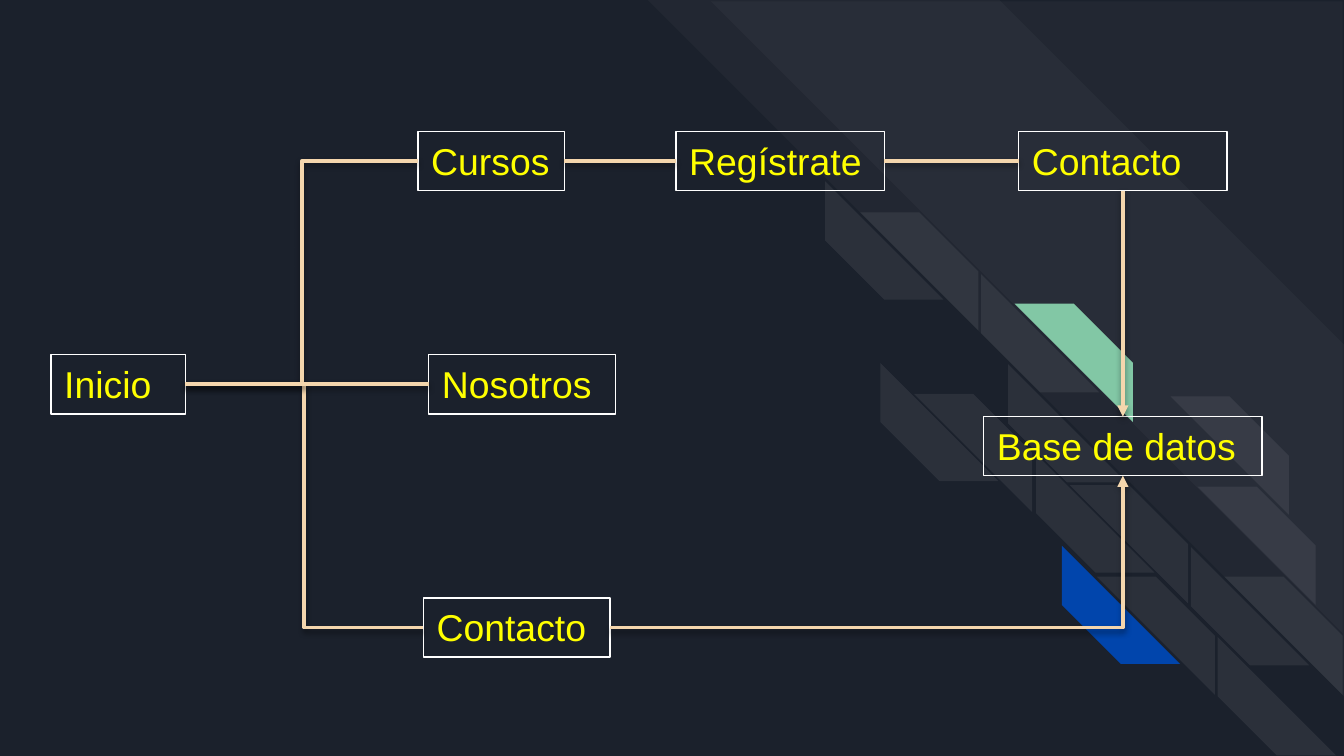
"""Build a site map slide with linked boxes over a striped dark backdrop."""
from lxml.etree import SubElement
from pptx import Presentation
from pptx.dml.color import RGBColor
from pptx.enum.shapes import MSO_CONNECTOR, MSO_SHAPE
from pptx.enum.text import MSO_ANCHOR, PP_ALIGN
from pptx.oxml import parse_xml
from pptx.oxml.ns import nsdecls, qn
from pptx.util import Inches, Pt

NAVY = RGBColor(0x1B, 0x21, 0x2C)
WHITE = RGBColor(0xFF, 0xFF, 0xFF)
GREEN = RGBColor(0x82, 0xC7, 0xA5)
BLUE = RGBColor(0x01, 0x45, 0xAC)
YELLOW = RGBColor(0xFF, 0xFF, 0x00)
SAND = RGBColor(0xF4, 0xD6, 0xAD)

WIDE = Inches(10)
TALL = WIDE * 9 // 16
TILE = 0.88
HIGH = 0.44
BANDS = [(4.82, 0, 5.18, 0.495), (5.29, 0.01, 4.7, 0)]
TURNED = [(6.14, 1.35, WHITE), (6.55, 2.7, WHITE), (7.3, 2.04, WHITE),
          (7.5, 2.71, WHITE), (7.71, 3.38, WHITE), (7.9, 4.06, BLUE),
          (8.86, 4.07, WHITE), (9.06, 4.74, WHITE)]
FLIPPED = [(6.4, 1.58, WHITE), (6.8, 2.93, WHITE), (7.55, 2.26, GREEN),
           (8.71, 2.95, WHITE), (8.91, 3.62, WHITE), (7.96, 3.61, WHITE),
           (8.16, 4.29, WHITE), (9.11, 4.29, WHITE)]

BOXES = {
    "home": ("Inicio", 0.38, 2.64, 1),
    "courses": ("Cursos", 3.11, 0.98, 1.09),
    "contact": ("Contacto", 3.15, 4.45, 1.39),
    "data": ("Base de datos", 7.32, 3.1, 2.07),
    "sign up": ("Regístrate", 5.03, 0.98, 1.55),
    "about": ("Nosotros", 3.19, 2.64, 1.39),
    "details": ("Contacto", 7.58, 0.98, 1.55),
}
TOP, LEFT, BOTTOM, RIGHT = range(4)
LINKS = [
    ("home", RIGHT, "contact", LEFT, "bentConnector3", False),
    ("home", RIGHT, "courses", LEFT, "bentConnector3", False),
    ("home", RIGHT, "about", LEFT, "line", False),
    ("sign up", RIGHT, "details", LEFT, "line", False),
    ("courses", RIGHT, "sign up", LEFT, "line", False),
    ("contact", RIGHT, "data", BOTTOM, "bentConnector2", True),
    ("details", BOTTOM, "data", TOP, "line", True),
]
SHADOW = (f'<a:effectLst {nsdecls("a")}><a:outerShdw blurRad="40000" dist="20000" '
          'dir="5400000" rotWithShape="0"><a:srgbClr val="000000">'
          '<a:alpha val="38000"/></a:srgbClr></a:outerShdw></a:effectLst>')


def add_stripe(slide, x, y, size, adjust, color, alpha, turn=0, flip=False):
    stripe = slide.shapes.add_shape(
        MSO_SHAPE.DIAGONAL_STRIPE, Inches(x), Inches(y), Inches(size), Inches(size))
    stripe.adjustments[0] = adjust
    stripe.rotation = turn
    stripe.shadow.inherit = False
    stripe.line.fill.background()
    stripe.fill.solid()
    stripe.fill.fore_color.rgb = color
    if flip:
        stripe._element.spPr.find(qn("a:xfrm")).set("flipH", "1")
    if color == WHITE:
        tint = stripe._element.spPr.find(qn("a:solidFill"))[0]
        SubElement(tint, qn("a:alpha")).set("val", str(alpha * 1000))


def add_box(slide, text, x, y, width):
    box = slide.shapes.add_textbox(Inches(x), Inches(y), Inches(width), Inches(HIGH))
    box.line.color.rgb = WHITE
    box.line.width = Pt(0.75)
    frame = box.text_frame
    frame.word_wrap = True
    frame.vertical_anchor = MSO_ANCHOR.TOP
    frame.text = text
    line = frame.paragraphs[0]
    line.alignment = PP_ALIGN.LEFT
    line.font.name = "Arial"
    line.font.size = Pt(20)
    line.font.color.rgb = YELLOW
    return box


def add_link(slide, start, out, end, into, shape, arrow):
    kind = MSO_CONNECTOR.STRAIGHT if shape == "line" else MSO_CONNECTOR.ELBOW
    link = slide.shapes.add_connector(kind, 0, 0, 0, 0)
    link.begin_connect(start, out)
    link.end_connect(end, into)
    link.line.color.rgb = SAND
    link.line.width = Pt(2)
    props = link._element.spPr
    props.find(qn("a:prstGeom")).set("prst", shape)
    if arrow:
        SubElement(props.find(qn("a:ln")), qn("a:tailEnd")).set("type", "triangle")
    props.append(parse_xml(SHADOW))


def main():
    deck = Presentation()
    deck.slide_width, deck.slide_height = WIDE, TALL
    slide = deck.slides.add_slide(deck.slide_layouts[6])
    slide.background.fill.solid()
    slide.background.fill.fore_color.rgb = NAVY

    for x, y, size, adjust in BANDS:
        add_stripe(slide, x, y, size, adjust, WHITE, 3, turn=90)
    for x, y, color in TURNED:
        add_stripe(slide, x, y, TILE, 0.5, color, 7, turn=270)
    for x, y, color in FLIPPED:
        add_stripe(slide, x, y, TILE, 0.5, color, 7, flip=True)

    boxes = {name: add_box(slide, *spot) for name, spot in BOXES.items()}
    for start, out, end, into, shape, arrow in LINKS:
        add_link(slide, boxes[start], out, boxes[end], into, shape, arrow)
    deck.save("out.pptx")


if __name__ == "__main__":
    main()
